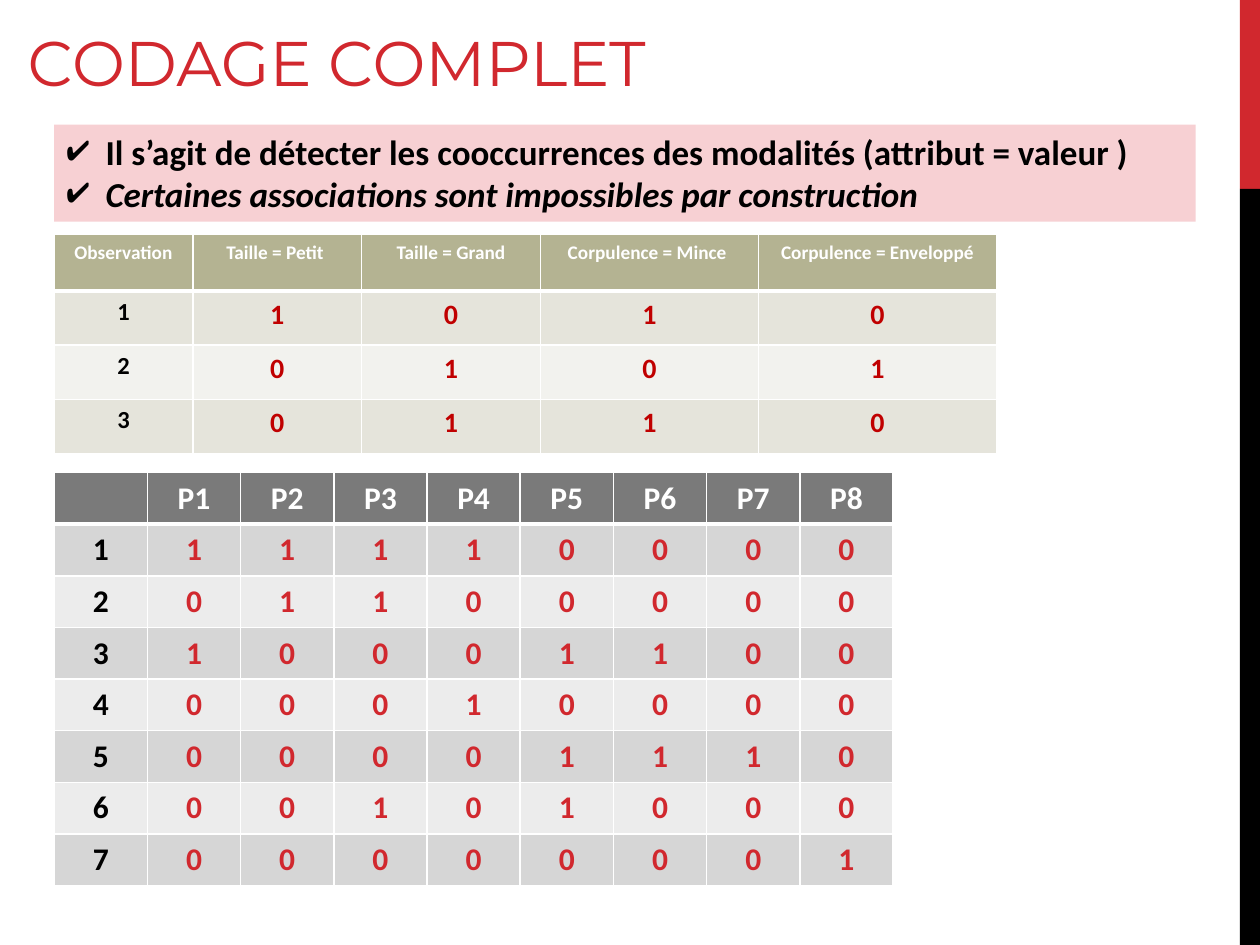
from lxml import etree
from pptx import Presentation
from pptx.dml.color import RGBColor
from pptx.enum.shapes import MSO_SHAPE
from pptx.enum.text import MSO_ANCHOR, MSO_AUTO_SIZE, PP_ALIGN
from pptx.oxml.ns import qn
from pptx.util import Inches, Pt

RECTANGLE = MSO_SHAPE.RECTANGLE
TOP, MIDDLE, BOTTOM = MSO_ANCHOR.TOP, MSO_ANCHOR.MIDDLE, MSO_ANCHOR.BOTTOM
LEFT, CENTER = PP_ALIGN.LEFT, PP_ALIGN.CENTER
NO_AUTOFIT = MSO_AUTO_SIZE.NONE
TITLE_ONLY = 5
COLORS = {
    "red": "D1282E", "dark_red": "C00000", "pink": "F7D0D3",
    "black": "000000", "white": "FFFFFF",
    "olive": "B4B392", "olive_band": "E5E4DB", "olive_light": "F2F2EE",
    "gray": "7A7A7A", "gray_band": "D6D6D6", "gray_light": "ECECEC",
}
MODALITIES = [
    ["Observation", "Taille = Petit ", "Taille = Grand", "Corpulence = Mince ", "Corpulence = Enveloppé"],
    *("11010", "20101", "30110"),
]
PATTERNS = [
    ["", *(f"P{number}" for number in range(1, 9))],
    *("111110000", "201100000", "310001100", "400010000",
      "500001110", "600101000", "700000001"),
]


def color(name):
    return RGBColor.from_string(COLORS[name])


def write(paragraph, text, size=18, font="Calibri", ink="black", bold=True, italic=False, align=LEFT):
    paragraph.alignment = align
    run = paragraph.add_run() if text else paragraph
    if text:
        run.text = text
    run.font.size = Pt(size)
    run.font.name = font
    run.font.bold = bold
    run.font.italic = italic
    run.font.color.rgb = color(ink)


def add_check_bullet(paragraph, indent):
    properties = paragraph._p.get_or_add_pPr()
    properties.set("marL", str(indent))
    properties.set("indent", str(-indent))
    bullet_color = etree.SubElement(properties, qn("a:buClr"))
    etree.SubElement(bullet_color, qn("a:srgbClr"), val=COLORS["black"])
    etree.SubElement(properties, qn("a:buChar"), char="✔")


def add_borders(cell, **widths):
    properties = cell._tc.get_or_add_tcPr()
    for side in "LRTB":
        line = etree.SubElement(properties, qn(f"a:ln{side}"), w=str(Pt(widths.get(side, 1))))
        fill = etree.SubElement(line, qn("a:solidFill"))
        etree.SubElement(fill, qn("a:srgbClr"), val=COLORS["white"])


class SlideBuilder:
    def __init__(self, slide):
        self.slide = slide

    def title(self, text, left, top, width, height):
        shape = self.slide.shapes.title
        shape.left, shape.top = Inches(left), Inches(top)
        shape.width, shape.height = Inches(width), Inches(height)
        shape.text_frame.auto_size = NO_AUTOFIT
        shape.text_frame.vertical_anchor = BOTTOM
        write(shape.text_frame.paragraphs[0], text, size=36, font="Montserrat", ink="red", bold=False)

    def rectangle(self, left, top, width, height, fill):
        shape = self.slide.shapes.add_shape(
            RECTANGLE, Inches(left), Inches(top), Inches(width), Inches(height))
        shape.shadow.inherit = False
        shape.fill.solid()
        shape.fill.fore_color.rgb = color(fill)
        shape.line.fill.background()
        return shape

    def check_list(self, items, left, top, width, height):
        frame = self.rectangle(left, top, width, height, "pink").text_frame
        frame.word_wrap = True
        frame.vertical_anchor = TOP
        for index, (text, italic) in enumerate(items):
            paragraph = frame.add_paragraph() if index else frame.paragraphs[0]
            add_check_bullet(paragraph, Inches(0.31))
            write(paragraph, text, size=20, italic=italic)

    def table(self, rows, left, top, widths, heights, palette, value_ink, sizes, anchor):
        table = self.slide.shapes.add_table(
            len(rows), len(widths), Inches(left), Inches(top),
            Inches(sum(widths)), Inches(sum(heights))).table
        for column, width in zip(table.columns, widths):
            column.width = Inches(width)
        for row, height in zip(table.rows, heights):
            row.height = Inches(height)
        header_fill, *band_fills = palette
        header_size, label_size, value_size = sizes
        for row_index, values in enumerate(rows):
            for column_index, text in enumerate(values):
                cell = table.cell(row_index, column_index)
                cell.vertical_anchor = anchor
                if row_index == 0:
                    fill, ink, size = header_fill, "white", header_size
                    add_borders(cell, B=3)
                else:
                    fill = band_fills[(row_index - 1) % 2]
                    ink, size = (value_ink, value_size) if column_index else ("black", label_size)
                    add_borders(cell, T=3 if row_index == 1 else 1)
                cell.fill.solid()
                cell.fill.fore_color.rgb = color(fill)
                write(cell.text_frame.paragraphs[0], text, size=size, ink=ink, align=CENTER)


def main():
    presentation = Presentation()
    presentation.slide_width, presentation.slide_height = Inches(10), Inches(7.5)
    slide = presentation.slides.add_slide(presentation.slide_layouts[TITLE_ONLY])
    builder = SlideBuilder(slide)
    margin = 0.43

    builder.rectangle(9.84, 0, 0.16, 1.5, "red")
    builder.rectangle(9.84, 1.5, 0.16, 6, "black")
    builder.title("CODAGE COMPLET", 0.12, 0.13, 8.5, 0.71)
    builder.table(
        MODALITIES, margin, 1.86, [1.1, 1.34, 1.42, 1.73, 1.89], [0.45] + [0.43] * 3,
        ("olive", "olive_band", "olive_light"), "dark_red", (11, 14, 16), TOP)
    builder.check_list([
        ("Il s’agit de détecter les cooccurrences des modalités (attribut = valeur )", False),
        ("Certaines associations sont impossibles par construction", True),
    ], margin, 0.99, 9.06, 0.77)
    builder.table(
        PATTERNS, margin, 3.75, [0.74] * 9, [0.41] * 8,
        ("gray", "gray_band", "gray_light"), "red", (18, 18, 18), MIDDLE)
    presentation.save("out.pptx")


if __name__ == "__main__":
    main()
